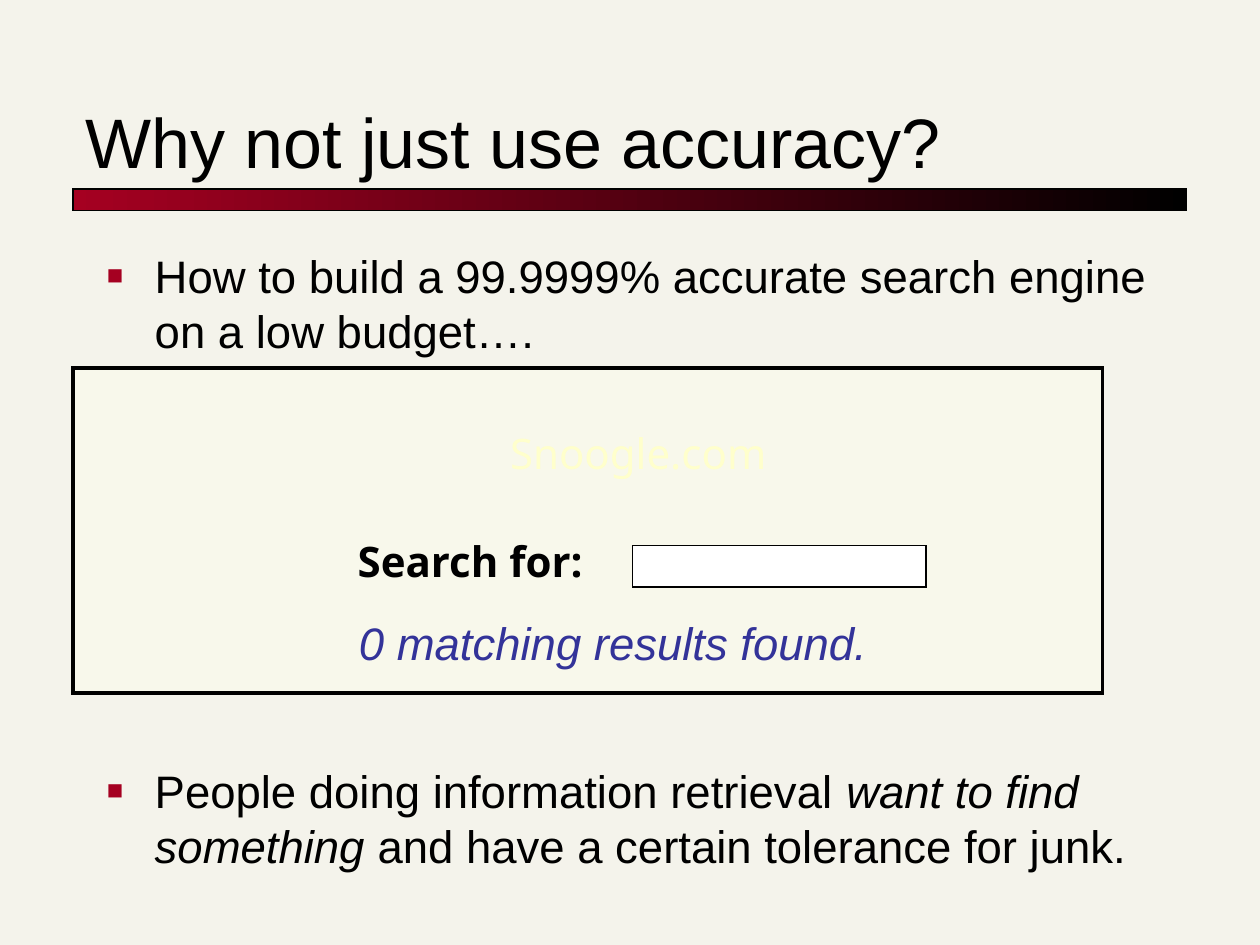
from dataclasses import dataclass, field

from lxml.etree import SubElement
from pptx import Presentation
from pptx.dml.color import RGBColor
from pptx.enum.shapes import MSO_SHAPE
from pptx.enum.text import MSO_ANCHOR
from pptx.oxml.ns import qn
from pptx.util import Inches, Pt

INK, RED = "000000", "A50021"


@dataclass
class Panel:
    at: tuple
    fill: str | None
    width: float = 0.75
    alpha: int = 100


@dataclass
class Para:
    runs: list
    style: dict = field(default_factory=dict)
    bullet: bool = False


@dataclass
class Label:
    at: tuple
    paras: list
    size: int
    color: str = INK
    font: str = "Arial"
    wrap: bool = False
    anchor: MSO_ANCHOR = MSO_ANCHOR.TOP


def tint(code: str) -> RGBColor:
    return RGBColor.from_string(code)


def apply(target, style: dict) -> None:
    for name, value in style.items():
        setattr(target, name, value)


def draw_panel(slide, panel: Panel):
    shape = slide.shapes.add_shape(MSO_SHAPE.RECTANGLE, *map(Inches, panel.at))
    shape.shadow.inherit = False
    shape.line.color.rgb = tint(INK)
    shape.line.width = Pt(panel.width)
    SubElement(shape._element.spPr.find(qn("a:ln")), qn("a:miter"), lim="800000")
    if panel.fill:
        shape.fill.solid()
        shape.fill.fore_color.rgb = tint(panel.fill)
    if panel.alpha < 100:
        color = shape._element.spPr.find(qn("a:solidFill"))[0]
        SubElement(color, qn("a:alpha"), val=str(panel.alpha * 1000))
    return shape


def add_bullet(para) -> None:
    props = para._p.get_or_add_pPr()
    indent = Inches(0.38)
    props.set("marL", str(indent))
    props.set("indent", str(-indent))
    color = SubElement(props, qn("a:buClr"))
    SubElement(color, qn("a:srgbClr"), val=RED)
    SubElement(props, qn("a:buSzPct"), val="60000")
    SubElement(props, qn("a:buFont"), typeface="Arial")
    SubElement(props, qn("a:buChar"), char="■")


def draw_label(slide, label: Label) -> None:
    frame = slide.shapes.add_textbox(*map(Inches, label.at)).text_frame
    apply(frame, {"word_wrap": label.wrap, "vertical_anchor": label.anchor})
    for pos, item in enumerate(label.paras):
        para = frame.add_paragraph() if pos else frame.paragraphs[0]
        if item.bullet:
            add_bullet(para)
        apply(para, item.style)
        for text, style in item.runs:
            run = para.add_run()
            run.text = text
            run.font.color.rgb = tint(label.color)
            apply(run.font, {"name": label.font, "size": Pt(label.size), **style})


BAR = Panel((0.58, 1.5, 8.84, 0.17), None)
PANELS = [
    Panel((0.58, 2.92, 8.17, 2.58), "FCFEEC", 2, 50),
    Panel((5.02, 4.33, 2.33, 0.33), "FFFFFF"),
]
POINTS = [
    Para(
        [("How to build a 99.9999% accurate search engine on a low budget….", {})],
        bullet=True,
    ),
    Para(
        [
            ("People doing information retrieval ", {}),
            ("want to find something", {"italic": True}),
            (" and have a certain tolerance for junk.", {}),
        ],
        {"space_before": Pt(232)},
        True,
    ),
]
LABELS = [
    Label((0.58, 0.42, 8.83, 1.08), [Para([("Why not just use accuracy?", {})])],
          40, wrap=True, anchor=MSO_ANCHOR.BOTTOM),
    Label((0.75, 1.92, 8.5, 5.33), POINTS, 26, wrap=True),
    Label((3.95, 3.34, 2.4, 0.5), [Para([("Snoogle.com", {})])],
          24, "FFFFCC", "Noto Sans", wrap=True),
    Label((2.74, 4.2, 2.08, 0.5), [Para([("Search for:", {"bold": True})])],
          24, font="Noto Sans"),
    Label((2.75, 4.83, 4.24, 0.54),
          [Para([("0 matching results found.", {"italic": True})])], 26, "333399"),
]


def main() -> None:
    deck = Presentation()
    apply(deck, {"slide_width": Inches(10), "slide_height": Inches(7.5)})
    slide = deck.slides.add_slide(deck.slide_layouts[6])
    back = slide.background.fill
    back.solid()
    back.fore_color.rgb = tint("F4F3EB")
    fade = draw_panel(slide, BAR).fill
    fade.gradient()
    fade.gradient_angle = 0
    for stop, code in zip(fade.gradient_stops, (RED, INK)):
        stop.color.rgb = tint(code)
    for panel in PANELS:
        draw_panel(slide, panel)
    for label in LABELS:
        draw_label(slide, label)
    deck.save("out.pptx")


if __name__ == "__main__":
    main()
